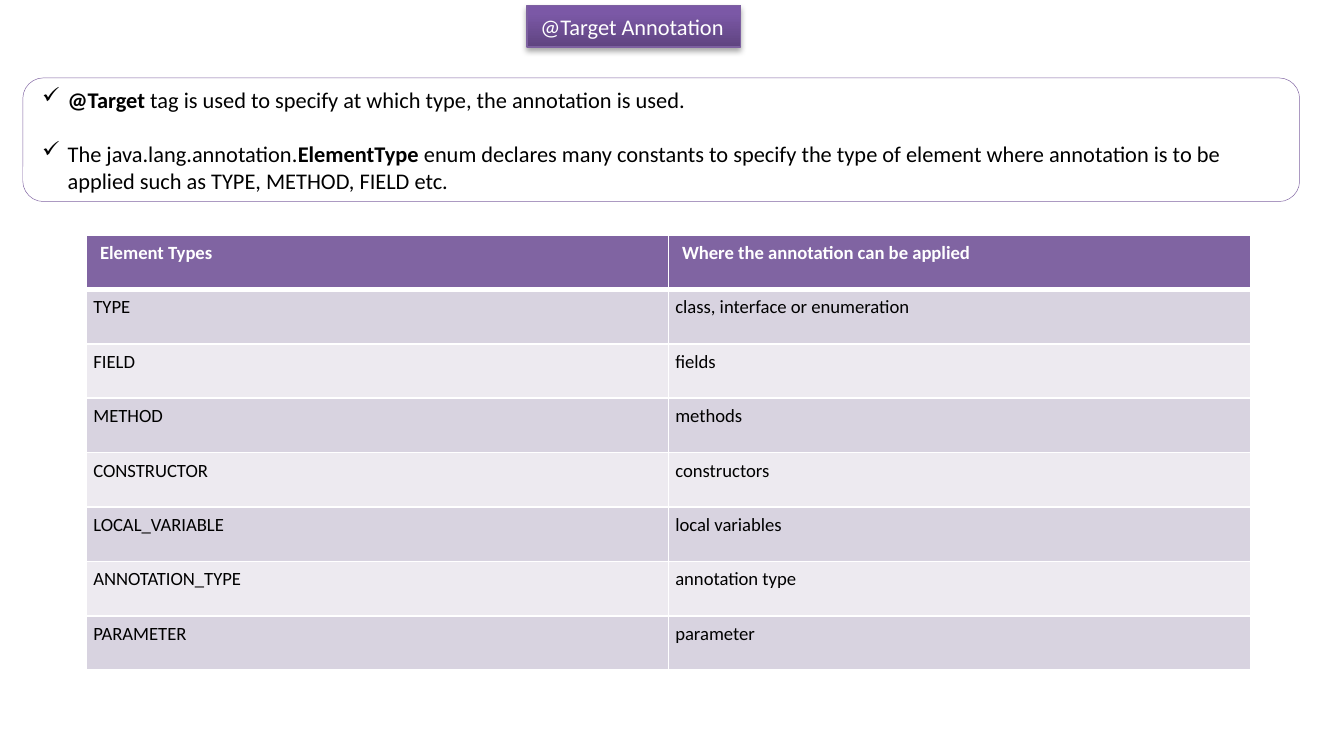
from dataclasses import dataclass

from lxml import etree
from pptx import Presentation
from pptx.dml.color import RGBColor
from pptx.enum.shapes import MSO_SHAPE
from pptx.enum.text import MSO_ANCHOR, MSO_AUTO_SIZE, PP_ALIGN
from pptx.oxml.ns import qn
from pptx.util import Inches, Pt

ROUND = MSO_SHAPE.ROUNDED_RECTANGLE
MIDDLE = MSO_ANCHOR.MIDDLE
FIXED = MSO_AUTO_SIZE.NONE
LEFT, JUSTIFY = PP_ALIGN.LEFT, PP_ALIGN.JUSTIFY

WIDE, HIGH = 10, 5.5
COLS, ROWS = 100, 55

POINTS = [
    [("@Target", True),
     ("\u00a0tag is used to specify at which type, the annotation is used.", False)],
    [("The java.lang.annotation.", False),
     ("ElementType", True),
     ("\u00a0enum declares many constants to specify the type of element where "
      "annotation is to be applied such as TYPE, METHOD, FIELD etc.", False)],
]
TYPES = [
    ("Element Types", "Where the annotation can be applied"),
    ("TYPE", "class, interface or enumeration"),
    ("FIELD", "fields"),
    ("METHOD", "methods"),
    ("CONSTRUCTOR", "constructors"),
    ("LOCAL_VARIABLE", "local variables"),
    ("ANNOTATION_TYPE", "annotation type"),
    ("PARAMETER", "parameter"),
]


@dataclass(frozen=True)
class Theme:
    face: str = "Calibri"
    white: str = "FFFFFF"
    black: str = "000000"
    accent: str = "8064A2"
    edge: str = "7D60A0"
    fade: tuple = ((0, "5F4480"), (0.8, "7B58A6"))
    bands: tuple = ("D8D3E0", "EDEAF0")
    body: int = 12
    small: int = 10


def rgb(code):
    return RGBColor.from_string(code)


def add(parent, tag, **attrs):
    node = etree.SubElement(parent, qn(tag))
    for key, value in attrs.items():
        node.set(key, str(value))
    return node


def place(col, row, cols, rows):
    """Turn grid columns and rows into left, top, width and height."""
    return (Inches(col * WIDE / COLS), Inches(row * HIGH / ROWS),
            Inches(cols * WIDE / COLS), Inches(rows * HIGH / ROWS))


class Deck:
    def __init__(self, theme):
        self.theme = theme
        self.file = Presentation()
        self.file.slide_width = Inches(WIDE)
        self.file.slide_height = Inches(HIGH)
        self.slide = self.file.slides.add_slide(self.file.slide_layouts[5])

    def font(self, para, size, color, bold=None):
        font = para.font
        font.name, font.size, font.bold = self.theme.face, Pt(size), bold
        font.color.rgb = rgb(color)

    def line(self, shape, color, width):
        shape.line.color.rgb = rgb(color)
        shape.line.width = Pt(width)

    def title(self, text, spot):
        box = self.slide.shapes.title
        box.left, box.top, box.width, box.height = spot
        box.fill.gradient()
        box.fill.gradient_angle = 90
        for stop, (pos, color) in zip(box.fill.gradient_stops, self.theme.fade):
            stop.position = pos
            stop.color.rgb = rgb(color)
        self.line(box, self.theme.edge, 0.75)
        self.shade(box)
        frame = box.text_frame
        frame.text = text
        frame.auto_size, frame.vertical_anchor = FIXED, MIDDLE
        para = frame.paragraphs[0]
        para.alignment = LEFT
        self.font(para, self.theme.body, self.theme.white)

    def shade(self, shape):
        """Add a soft drop shadow below the shape."""
        effects = add(shape.element.spPr, "a:effectLst")
        drop = add(effects, "a:outerShdw", blurRad=Pt(3.1), dist=Pt(1.8),
                   dir=90 * 60000, rotWithShape=0)
        color = add(drop, "a:srgbClr", val=self.theme.black)
        add(color, "a:alpha", val=35000)

    def bullets(self, points, spot):
        box = self.slide.shapes.add_shape(ROUND, *spot)
        box.shadow.inherit = False
        box.fill.solid()
        box.fill.fore_color.rgb = rgb(self.theme.white)
        self.line(box, self.theme.accent, 0.25)
        frame = box.text_frame
        frame.word_wrap, frame.vertical_anchor = True, MIDDLE
        for i, runs in enumerate(points):
            para = frame.add_paragraph() if i else frame.paragraphs[0]
            para.alignment = LEFT
            if i:
                para.space_before = Pt(14.6)
            props = para._p.get_or_add_pPr()
            props.set("marL", str(Inches(0.19)))
            props.set("indent", str(Inches(-0.19)))
            add(props, "a:buChar", char="✓")
            self.font(para, self.theme.body, self.theme.black)
            for text, bold in runs:
                run = para.add_run()
                run.text, run.font.bold = text, bold

    def table(self, data, spot):
        grid = self.slide.shapes.add_table(len(data), len(data[0]), *spot).table
        for r, texts in enumerate(data):
            for c, text in enumerate(texts):
                self.cell(grid.cell(r, c), text, r)

    def cell(self, cell, text, row):
        theme = self.theme
        head = row == 0
        self.border(cell, top=3 if row == 1 else 1, base=3 if head else 1)
        cell.fill.solid()
        cell.fill.fore_color.rgb = rgb(theme.accent if head else theme.bands[(row - 1) % 2])
        cell.text = text
        para = cell.text_frame.paragraphs[0]
        self.font(para, theme.small, theme.white if head else theme.black, head)
        if not head:
            para.alignment = JUSTIFY
            cell.margin_left = cell.margin_right = Inches(0.05)
            cell.margin_top = cell.margin_bottom = Inches(0.05)

    def border(self, cell, top, base):
        props = cell._tc.get_or_add_tcPr()
        for tag, width in (("a:lnL", 1), ("a:lnR", 1), ("a:lnT", top), ("a:lnB", base)):
            fill = add(add(props, tag, w=Pt(width)), "a:solidFill")
            add(fill, "a:srgbClr", val=self.theme.white)


def main():
    deck = Deck(Theme())
    deck.title("@Target Annotation", place(39.2, 0.4, 15.9, 3.1))
    deck.table(TYPES, place(6.45, 17.5, 86.6, 32.4))
    deck.bullets(POINTS, place(1.7, 5.8, 95, 9.2))
    deck.file.save("out.pptx")


if __name__ == "__main__":
    main()
